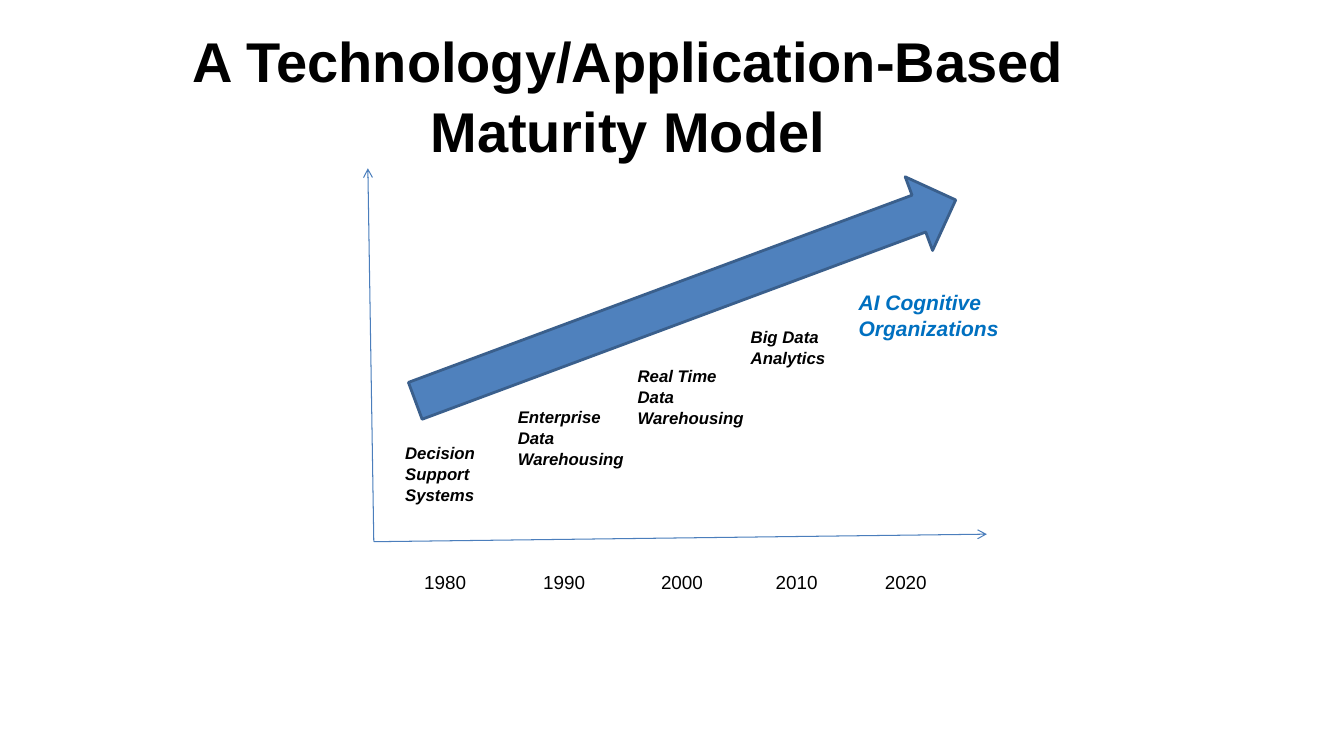
from lxml import etree
from pptx import Presentation
from pptx.dml.color import RGBColor
from pptx.enum.shapes import MSO_CONNECTOR, MSO_SHAPE
from pptx.enum.text import MSO_ANCHOR, MSO_AUTO_SIZE, PP_ALIGN
from pptx.oxml.ns import qn
from pptx.util import Cm, Pt

STRAIGHT = MSO_CONNECTOR.STRAIGHT
RIGHT_ARROW = MSO_SHAPE.RIGHT_ARROW
TOP = MSO_ANCHOR.TOP
NO_FIT = MSO_AUTO_SIZE.NONE
LEFT, CENTER = PP_ALIGN.LEFT, PP_ALIGN.CENTER

COLORS = {
    "text": "000000",
    "highlight": "0070C0",
    "arrow": "4F81BD",
    "outline": "3A5F8C",
    "axis": "4B7EBC",
}
TITLE = {"size": Pt(40), "bold": True}
STAGE = {"size": Pt(12), "bold": True, "italic": True}
GOAL = {"size": Pt(15), "bold": True, "italic": True}
YEAR = {"size": Pt(13.5)}


class MaturityPage:
    """Holds the style and the current slide."""

    font_name = "Arial"
    line_spacing = 1.04

    def __init__(self, deck):
        self.page = deck.slides.add_slide(deck.slide_layouts[5])

    def color(self, name):
        return RGBColor.from_string(COLORS[name])

    def fill_text(self, box, lines, style, color="text", align=LEFT):
        frame = box.text_frame
        frame.text = "\n".join(lines)
        frame.word_wrap = True
        frame.auto_size = NO_FIT
        frame.vertical_anchor = TOP
        for para in frame.paragraphs:
            para.alignment = align
            para.line_spacing = self.line_spacing
            para.space_before = Pt(0)
            for span in para.runs:
                span.font.name = self.font_name
                span.font.color.rgb = self.color(color)
                for key, value in style.items():
                    setattr(span.font, key, value)

    def title(self, text, left, top, width, height):
        box = self.page.shapes.title
        place = {"left": left, "top": top, "width": width, "height": height}
        for key, value in place.items():
            setattr(box, key, Cm(value))
        self.fill_text(box, [text], TITLE, align=CENTER)

    def label(self, lines, left, top, width, height, style, color="text"):
        box = self.page.shapes.add_textbox(
            Cm(left), Cm(top), Cm(width), Cm(height))
        self.fill_text(box, lines, style, color)

    def trend_arrow(self, left, top, width, height, rotation):
        arrow = self.page.shapes.add_shape(
            RIGHT_ARROW, Cm(left), Cm(top), Cm(width), Cm(height))
        arrow.rotation = rotation
        arrow.shadow.inherit = False
        arrow.fill.solid()
        arrow.fill.fore_color.rgb = self.color("arrow")
        arrow.line.color.rgb = self.color("outline")
        arrow.line.width = Pt(2)

    def axis(self, start, end):
        ends = [Cm(value) for value in (*start, *end)]
        axis = self.page.shapes.add_connector(STRAIGHT, *ends)
        axis.line.color.rgb = self.color("axis")
        axis.line.width = Pt(0.75)
        outline = axis.line._get_or_add_ln()
        etree.SubElement(outline, qn("a:tailEnd"), type="arrow")
        etree.SubElement(outline.getparent(), qn("a:effectLst"))


def main():
    deck = Presentation()
    deck.slide_width, deck.slide_height = Cm(33.87), Cm(19.05)
    page = MaturityPage(deck)

    # Title
    page.title("A Technology/Application-Based Maturity Model",
               1.85, 0.48, 27.94, 3.68)

    # Trend arrow and axes
    page.trend_arrow(10.01, 6.58, 14.53, 1.98, 339.6)
    origin = (9.42, 13.65)
    for axis_end in ((24.87, 13.46), (9.27, 4.24)):
        page.axis(origin, axis_end)

    # Stages rising along the arrow
    stages = [
        (["Decision Support Systems"], 9.96, 11.02, 2.39, 1.8),
        (["Enterprise", "Data Warehousing"], 12.8, 10.11, 3.33, 1.8),
        (["Real Time Data Warehousing"], 15.82, 9.07, 3.33, 1.8),
        (["Big Data Analytics"], 18.67, 8.1, 2.46, 1.27),
    ]
    for stage in stages:
        page.label(*stage, STAGE)
    page.label(["AI Cognitive Organizations"], 21.39, 7.14, 4.17, 1.55,
               GOAL, "highlight")

    # Years below the time axis
    year_lefts = (10.44, 13.44, 16.41, 19.3, 22.05)
    for index, left in enumerate(year_lefts):
        page.label([str(1980 + 10 * index)], left, 14.22, 1.75, 0.84, YEAR)

    deck.save("out.pptx")


if __name__ == "__main__":
    main()
